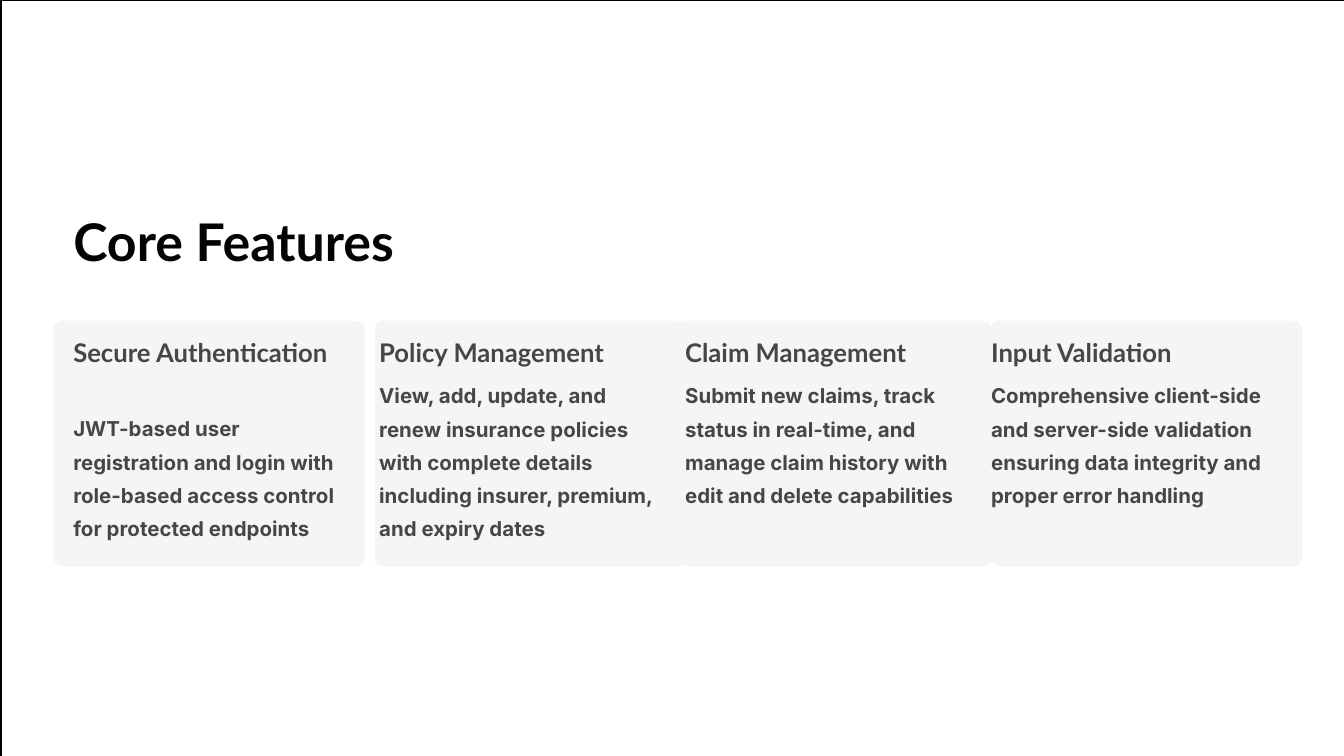
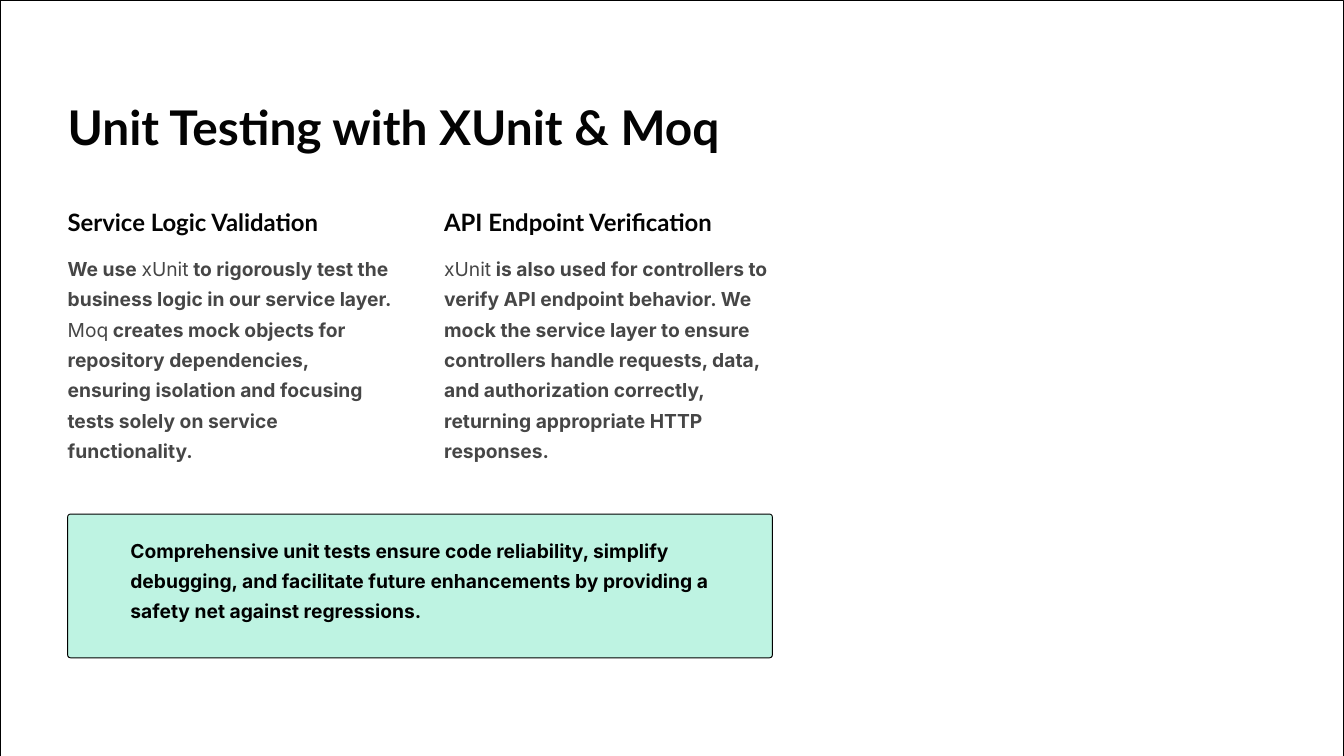
from dataclasses import dataclass
from typing import NamedTuple

from pptx import Presentation
from pptx.dml.color import RGBColor
from pptx.enum.shapes import MSO_SHAPE
from pptx.enum.text import MSO_ANCHOR, MSO_AUTO_SIZE, PP_ALIGN
from pptx.shapes.autoshape import Shape
from pptx.slide import Slide
from pptx.util import Pt


class Box(NamedTuple):
    """A rectangle in points."""
    left: float
    top: float
    width: float
    height: float


@dataclass(frozen=True)
class TextStyle:
    font: str
    size: float
    leading: float
    color: str


@dataclass(frozen=True)
class Theme:
    paper: str = "FFFFFF"
    panel: str = "F5F5F5"
    mint: str = "BEF3E2"
    outline: str = "000000"
    feature_title: TextStyle = TextStyle("Lato", 55.6, 69.4, "030303")
    feature_heading: TextStyle = TextStyle("Lato", 27.5, 34.4, "464646")
    feature_body: TextStyle = TextStyle("Inter", 21.9, 35.6, "464646")
    testing_title: TextStyle = TextStyle("Lato", 51.2, 64.4, "030303")
    testing_heading: TextStyle = TextStyle("Lato", 25.6, 31.9, "030303")
    testing_body: TextStyle = TextStyle("Inter", 20.6, 32.5, "464646")
    callout: TextStyle = TextStyle("Inter", 20.6, 32.5, "000000")


@dataclass(frozen=True)
class Feature:
    heading: str
    body: str
    body_lines: int
    padding: float = 5
    heading_lines: int = 1
    heading_width: float = 279


@dataclass(frozen=True)
class TestTopic:
    heading: str
    spans: tuple[str, ...]
    height: float


THEME = Theme()
PAGE_WIDTH, PAGE_HEIGHT = 1440, 810
LIGHT_WORDS = {"xUnit", "Moq"}

FEATURES = (
    Feature("Secure Authentication",
            "JWT-based user registration and login with role-based access "
            "control for protected endpoints",
            4, padding=21, heading_lines=2, heading_width=300),
    Feature("Policy Management",
            "View, add, update, and renew insurance policies with complete "
            "details including insurer, premium, and expiry dates", 5),
    Feature("Claim Management",
            "Submit new claims, track status in real-time, and manage claim "
            "history with edit and delete capabilities", 4),
    Feature("Input Validation",
            "Comprehensive client-side and server-side validation ensuring "
            "data integrity and proper error handling", 4, padding=0),
)

TEST_TOPICS = (
    TestTopic("Service Logic Validation",
              ("We use ", "xUnit",
               " to rigorously test the business logic in our service layer. ",
               "Moq",
               " creates mock objects for repository dependencies, ensuring "
               "isolation and focusing tests solely on service functionality."),
              209.5),
    TestTopic("API Endpoint Verification",
              ("xUnit",
               " is also used for controllers to verify API endpoint behavior. "
               "We mock the service layer to ensure controllers handle "
               "requests, data, and authorization correctly, returning "
               "appropriate HTTP responses."),
              240.5),
)


def place(shape: Shape, box: Box) -> None:
    shape.left, shape.top, shape.width, shape.height = map(Pt, box)


def write(shape: Shape, spans: tuple[str, ...], style: TextStyle) -> None:
    """Fill a shape with one left-aligned paragraph, bold but for light words."""
    frame = shape.text_frame
    frame.word_wrap = True
    frame.auto_size = MSO_AUTO_SIZE.SHAPE_TO_FIT_TEXT
    frame.vertical_anchor = MSO_ANCHOR.TOP
    frame.margin_left = frame.margin_right = 0
    frame.margin_top = frame.margin_bottom = 0
    para = frame.paragraphs[0]
    para.text = spans[0]
    for words in spans[1:]:
        para.add_run().text = words
    para.alignment = PP_ALIGN.LEFT
    para.line_spacing = Pt(style.leading)
    for span in para.runs:
        span.font.name = style.font
        span.font.size = Pt(style.size)
        span.font.bold = span.text not in LIGHT_WORDS
        span.font.color.rgb = RGBColor.from_string(style.color)


def add_text(page: Slide, box: Box, style: TextStyle, *spans: str) -> None:
    write(page.shapes.add_textbox(*map(Pt, box)), spans, style)


def add_panel(page: Slide, box: Box, fill: str, radius: float = 0,
              outlined: bool = False) -> None:
    kind = MSO_SHAPE.ROUNDED_RECTANGLE if radius else MSO_SHAPE.RECTANGLE
    panel = page.shapes.add_shape(kind, *map(Pt, box))
    panel.shadow.inherit = False
    panel.fill.solid()
    panel.fill.fore_color.rgb = RGBColor.from_string(fill)
    if radius:
        panel.adjustments[0] = radius / min(box.width, box.height)
    if outlined:
        panel.line.color.rgb = RGBColor.from_string(THEME.outline)
        panel.line.width = Pt(1)
    else:
        panel.line.fill.background()


def add_page(deck: Presentation, title: str, title_box: Box, style: TextStyle,
             paper_left: float = 0) -> Slide:
    """Add a slide with its two outlined backdrops and the title above them."""
    page = deck.slides.add_slide(deck.slide_layouts.get_by_name("Title Only"))
    for left, fill in ((0, THEME.panel), (paper_left, THEME.paper)):
        add_panel(page, Box(left, 0, PAGE_WIDTH, PAGE_HEIGHT), fill, outlined=True)
    heading = page.shapes.title
    page.shapes.element.append(heading.element)
    place(heading, title_box)
    write(heading, (title,), style)
    return page


def add_feature(page: Slide, feature: Feature, left: float) -> None:
    card_top, heading_top, line_height = 343.5, 359.3, 35.3
    heading_height = feature.heading_lines * line_height
    body_top = heading_top + heading_height + 7
    add_panel(page, Box(left - feature.padding, card_top, 333.5, 263.5),
              THEME.panel, radius=9.4)
    add_text(page, Box(left, heading_top, feature.heading_width, heading_height),
             THEME.feature_heading, feature.heading)
    add_text(page, Box(left, body_top, 300, feature.body_lines * 37),
             THEME.feature_body, feature.body)


def build_features(deck: Presentation) -> None:
    first_left, pitch = 78.5, 327.8
    page = add_page(deck, "Core Features", Box(first_left, 221.8, 558, 71.3),
                    THEME.feature_title, paper_left=1.5)
    for column, feature in enumerate(FEATURES):
        add_feature(page, feature, first_left + column * pitch)


def build_testing(deck: Presentation) -> None:
    margin, pitch = 72.5, 403.4
    page = add_page(deck, "Unit Testing with XUnit & Moq",
                    Box(margin, 102.2, 736.5, 67.7), THEME.testing_title)
    for column, topic in enumerate(TEST_TOPICS):
        left = margin + column * pitch
        add_text(page, Box(left, 221, 310, 33), THEME.testing_heading, topic.heading)
        add_text(page, Box(left, 267.8, 352, topic.height),
                 THEME.testing_body, *topic.spans)
    add_panel(page, Box(margin, 550.8, 755, 154), THEME.mint, radius=3, outlined=True)
    add_text(page, Box(139.7, 569.5, 667.5, 105.8), THEME.callout,
             "Comprehensive unit tests ensure code reliability, simplify debugging, "
             "and facilitate future enhancements by providing a safety net against "
             "regressions.")


def main() -> None:
    deck = Presentation()
    deck.slide_width, deck.slide_height = Pt(PAGE_WIDTH), Pt(PAGE_HEIGHT)
    build_features(deck)
    build_testing(deck)
    deck.save("out.pptx")


if __name__ == "__main__":
    main()
